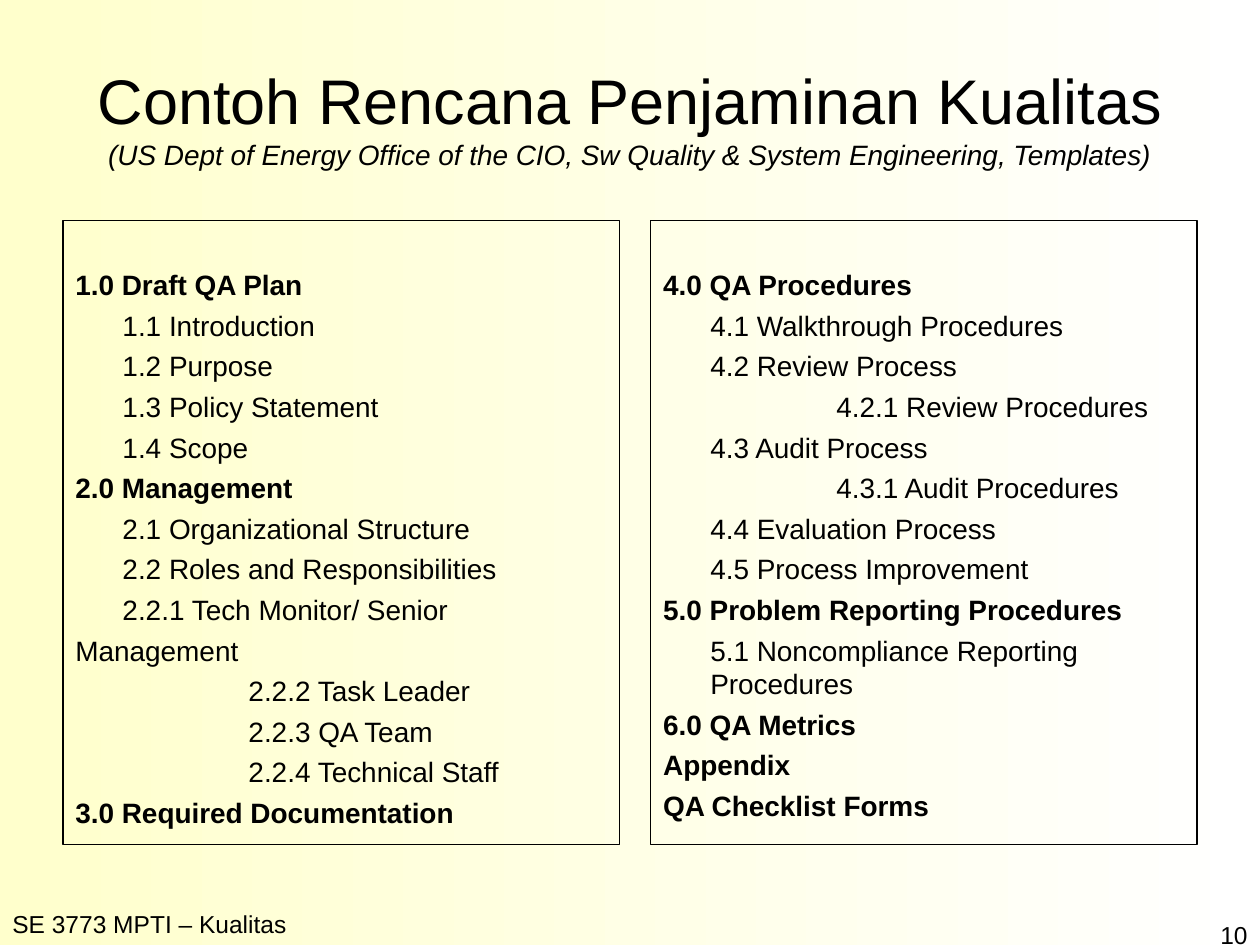
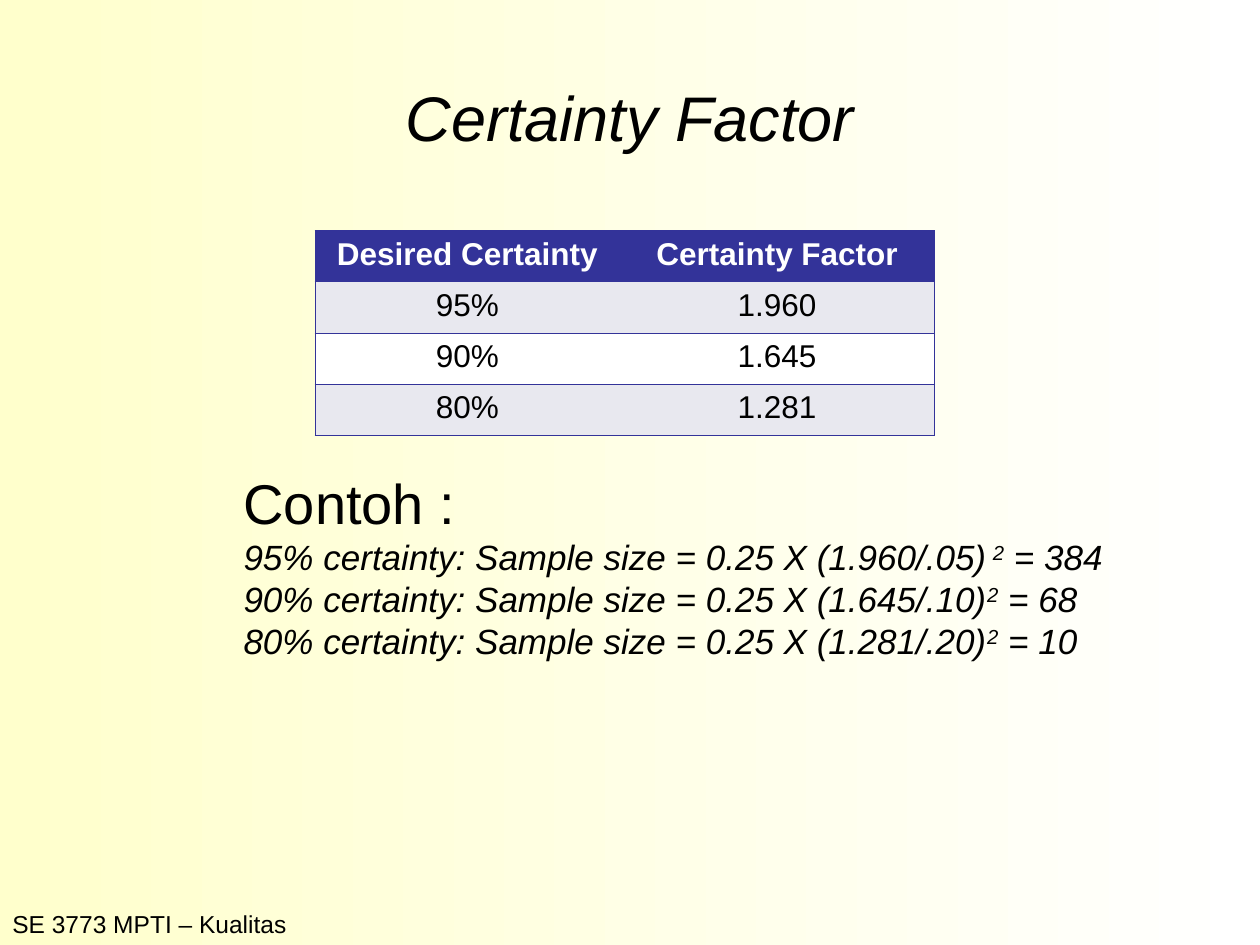
import lxml.etree
import pptx
import pptx.dml.color
import pptx.enum.shapes
import pptx.enum.text
import pptx.oxml.ns
import pptx.util

Cm = pptx.util.Cm
Pt = pptx.util.Pt
RGBColor = pptx.dml.color.RGBColor
Align = pptx.enum.text.PP_ALIGN
Anchor = pptx.enum.text.MSO_ANCHOR

# Shared style
FONT = "Arial"
BLACK = RGBColor(0x00, 0x00, 0x00)
WHITE = RGBColor(0xFF, 0xFF, 0xFF)
CREAM = RGBColor(0xFF, 0xFF, 0xCC)
INDIGO = RGBColor(0x33, 0x33, 0x99)
PALE_GREY = RGBColor(0xE8, 0xE8, 0xEF)
FOOTER = "SE 3773 MPTI – Kualitas"

# Quality plan: each outline entry is (level, text)
PLAN_TITLE = "Contoh Rencana Penjaminan Kualitas"
PLAN_SOURCE = ("(US Dept of Energy Office of the CIO, "
               "Sw Quality & System Engineering, Templates)")
PLAN_NUMBER = "10"
HEADING, NORMAL, ITEM, SUBITEM = range(4)
LEVEL_INDENTS = {HEADING: 0, NORMAL: 0, ITEM: 0.95, SUBITEM: 3.49}
FIRST_HALF = [
    (HEADING, "1.0 Draft QA Plan"),
    (ITEM, "1.1 Introduction"),
    (ITEM, "1.2 Purpose"),
    (ITEM, "1.3 Policy Statement"),
    (ITEM, "1.4 Scope"),
    (HEADING, "2.0 Management"),
    (ITEM, "2.1 Organizational Structure"),
    (ITEM, "2.2 Roles and Responsibilities"),
    (ITEM, "2.2.1 Tech Monitor/ Senior"),
    (NORMAL, "Management"),
    (SUBITEM, "2.2.2 Task Leader"),
    (SUBITEM, "2.2.3 QA Team"),
    (SUBITEM, "2.2.4 Technical Staff"),
    (HEADING, "3.0 Required Documentation"),
]
SECOND_HALF = [
    (HEADING, "4.0 QA Procedures"),
    (ITEM, "4.1 Walkthrough Procedures"),
    (ITEM, "4.2 Review Process"),
    (SUBITEM, "4.2.1 Review Procedures"),
    (ITEM, "4.3 Audit Process"),
    (SUBITEM, "4.3.1 Audit Procedures"),
    (ITEM, "4.4 Evaluation Process"),
    (ITEM, "4.5 Process Improvement"),
    (HEADING, "5.0 Problem Reporting Procedures"),
    (ITEM, "5.1 Noncompliance Reporting Procedures"),
    (HEADING, "6.0 QA Metrics"),
    (HEADING, "Appendix"),
    (HEADING, "QA Checklist Forms"),
]
# Each outline box is (left, width, entries)
OUTLINES = [(1.27, 11.22, FIRST_HALF), (13.12, 11.01, SECOND_HALF)]

# Certainty factors and worked examples (formula, exponent, result)
FACTOR_TITLE = "Certainty Factor"
FACTOR_ROWS = [
    ("Desired Certainty", "Certainty Factor"),
    ("95%", "1.960"),
    ("90%", "1.645"),
    ("80%", "1.281"),
]
FACTOR_WIDTHS = [6.14, 6.35]
FACTOR_ROW_HEIGHT = 1.03
EXAMPLE_HEADING = "Contoh :"
EXAMPLES = [
    ("95% certainty: Sample size = 0.25 X (1.960/.05)", " 2", " = 384"),
    ("90% certainty: Sample size = 0.25 X (1.645/.10)", "2", " = 68"),
    ("80% certainty: Sample size = 0.25 X (1.281/.20)", "2", " = 10"),
]


def style_font(font, size, color=BLACK, bold=False, italic=False):
    font.name = FONT
    font.size = Pt(size)
    font.color.rgb = color
    font.bold = bold
    font.italic = italic


def add_text_box(slide, left, top, width, height):
    frame = slide.shapes.add_textbox(Cm(left), Cm(top), Cm(width), Cm(height)).text_frame
    frame.word_wrap = True
    return frame


def add_label(slide, text, left, top, width, height, alignment):
    paragraph = add_text_box(slide, left, top, width, height).paragraphs[0]
    paragraph.text = text
    paragraph.alignment = alignment
    style_font(paragraph.font, 14)


def add_titled_slide(presentation, title, italic=False):
    slide = presentation.slides.add_slide(presentation.slide_layouts[5])
    shape = slide.shapes.title
    shape.left, shape.top, shape.width, shape.height = Cm(1.27), Cm(0.76), Cm(22.86), Cm(3.18)
    frame = shape.text_frame
    frame.auto_size = pptx.enum.text.MSO_AUTO_SIZE.NONE
    frame.vertical_anchor = Anchor.MIDDLE
    paragraph = frame.paragraphs[0]
    paragraph.alignment = Align.CENTER
    run = paragraph.add_run()
    run.text = title
    style_font(run.font, 36, italic=italic)
    add_label(slide, FOOTER, 0, 18.21, 17.35, 0.84, Align.LEFT)
    return slide


def add_outline(slide, left, width, entries):
    box = slide.shapes.add_shape(pptx.enum.shapes.MSO_SHAPE.RECTANGLE,
                                 Cm(left), Cm(4.45), Cm(width), Cm(12.57))
    box.shadow.inherit = False
    box.fill.background()
    box.line.color.rgb = BLACK
    box.line.width = Pt(0.75)
    frame = box.text_frame
    frame.word_wrap = True
    frame.vertical_anchor = Anchor.TOP
    frame.margin_top = Cm(0.95)
    for index, (level, text) in enumerate(entries):
        paragraph = frame.add_paragraph() if index else frame.paragraphs[0]
        paragraph.text = text
        paragraph.alignment = Align.LEFT
        paragraph.space_before = Pt(4 if index else 0)
        style_font(paragraph.font, 16, bold=level == HEADING)
        properties = paragraph._p.get_or_add_pPr()
        properties.set("marL", str(Cm(LEVEL_INDENTS[level])))
        properties.set("indent", "0")


def set_borders(cell, visible_sides):
    properties = cell._tc.get_or_add_tcPr()
    qn = pptx.oxml.ns.qn
    for position, side in enumerate("LRTB"):
        line = lxml.etree.Element(qn("a:ln" + side), w=str(Pt(0.45)))
        if side in visible_sides:
            fill = lxml.etree.SubElement(line, qn("a:solidFill"))
            lxml.etree.SubElement(fill, qn("a:srgbClr"), val=str(INDIGO))
        else:
            lxml.etree.SubElement(line, qn("a:noFill"))
        properties.insert(position, line)


def add_factor_table(slide):
    table = slide.shapes.add_table(
        len(FACTOR_ROWS), len(FACTOR_WIDTHS), Cm(6.35), Cm(4.65),
        Cm(sum(FACTOR_WIDTHS)), Cm(FACTOR_ROW_HEIGHT * len(FACTOR_ROWS))).table
    table.first_row = table.horz_banding = False
    for column, width in zip(table.columns, FACTOR_WIDTHS):
        column.width = Cm(width)
    for row_index, values in enumerate(FACTOR_ROWS):
        table.rows[row_index].height = Cm(FACTOR_ROW_HEIGHT)
        is_header = row_index == 0
        fill = INDIGO if is_header else PALE_GREY if row_index % 2 else WHITE
        for column_index, value in enumerate(values):
            cell = table.cell(row_index, column_index)
            cell.fill.solid()
            cell.fill.fore_color.rgb = fill
            cell.margin_left = cell.margin_right = Cm(0.28)
            paragraph = cell.text_frame.paragraphs[0]
            paragraph.text = value
            paragraph.alignment = Align.CENTER
            style_font(paragraph.font, 18, WHITE if is_header else BLACK, bold=is_header)
            set_borders(cell, "TB" + "LR"[column_index])


def add_examples(slide):
    frame = add_text_box(slide, 4.66, 9.32, 19.25, 5)
    heading = frame.paragraphs[0]
    heading.text = EXAMPLE_HEADING
    style_font(heading.font, 32)
    for formula, exponent, result in EXAMPLES:
        paragraph = frame.add_paragraph()
        style_font(paragraph.font, 20, italic=True)
        for text in (formula, exponent, result):
            run = paragraph.add_run()
            run.text = text
            if text == exponent:
                run._r.get_or_add_rPr().set("baseline", "30000")


def main():
    presentation = pptx.Presentation()
    presentation.slide_width, presentation.slide_height = Cm(25.4), Cm(19.05)

    # Background shared through the master
    background = presentation.slide_master.background.fill
    background.gradient()
    background.gradient_angle = 0
    for stop, color in zip(background.gradient_stops, (CREAM, WHITE)):
        stop.color.rgb = color

    # Quality plan
    slide = add_titled_slide(presentation, PLAN_TITLE)
    title_paragraph = slide.shapes.title.text_frame.paragraphs[0]
    title_paragraph.add_line_break()
    run = title_paragraph.add_run()
    run.text = PLAN_SOURCE
    style_font(run.font, 16, italic=True)
    for left, width, entries in OUTLINES:
        add_outline(slide, left, width, entries)
    add_label(slide, PLAN_NUMBER, 19.48, 18.42, 5.92, 0.63, Align.RIGHT)

    # Certainty factor
    slide = add_titled_slide(presentation, FACTOR_TITLE, italic=True)
    add_factor_table(slide)
    add_examples(slide)

    presentation.save("out.pptx")


if __name__ == "__main__":
    main()
